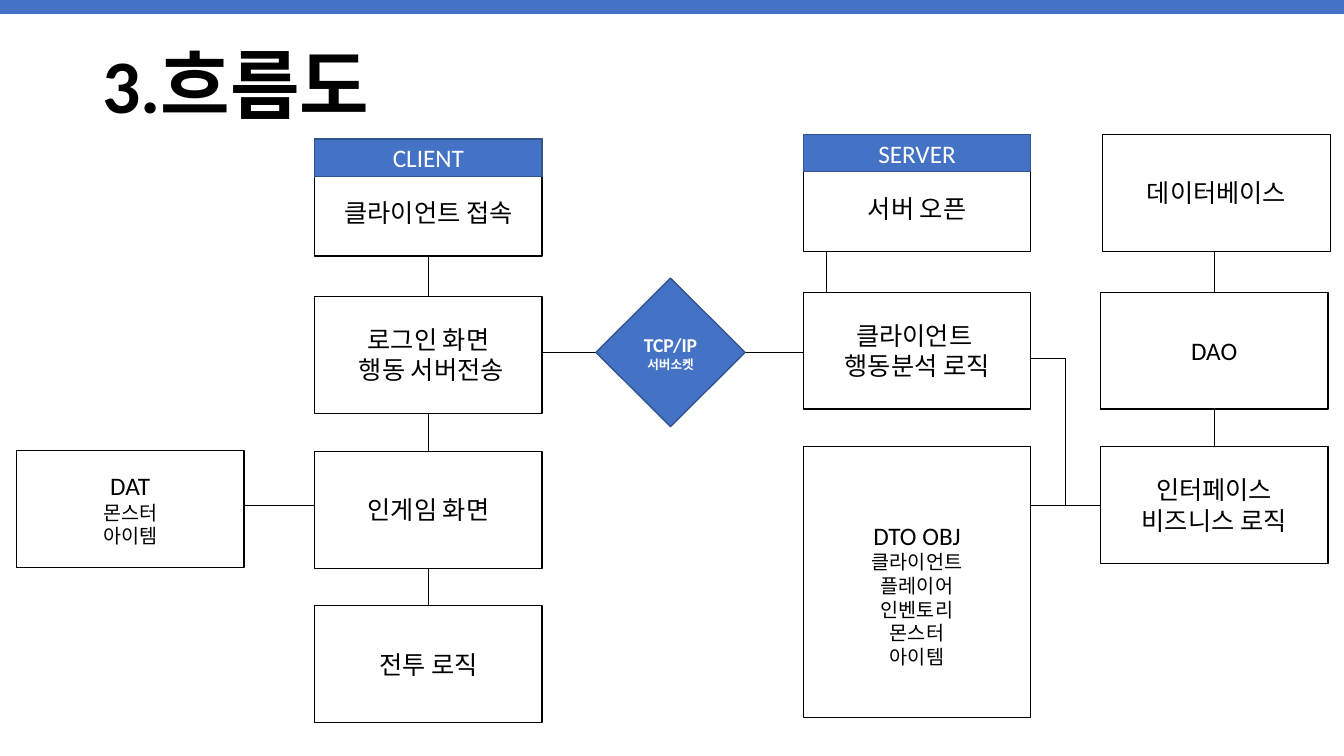
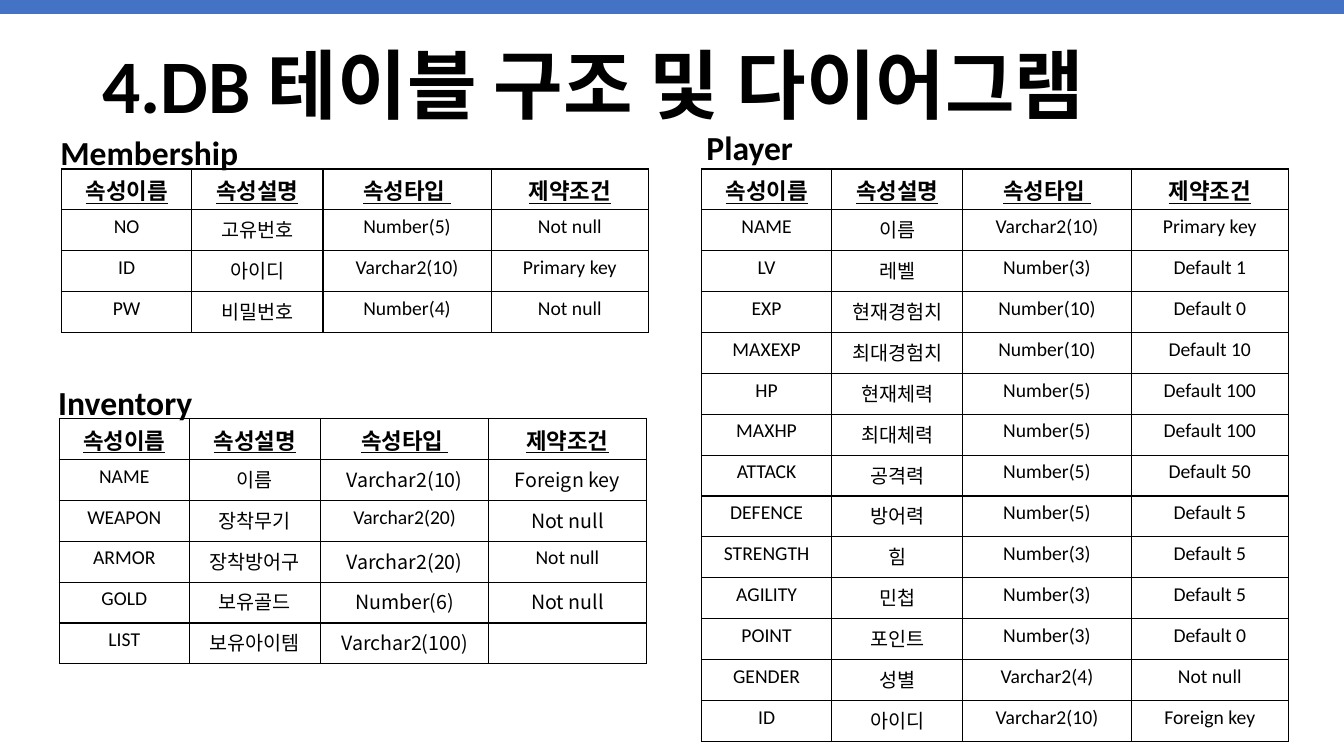
from dataclasses import dataclass
from typing import Any, NamedTuple

from lxml import etree
from pptx import Presentation
from pptx.dml.color import RGBColor
from pptx.enum.shapes import MSO_CONNECTOR, MSO_SHAPE
from pptx.enum.text import MSO_ANCHOR, PP_ALIGN
from pptx.oxml.ns import qn
from pptx.util import Pt

RECTANGLE = MSO_SHAPE.RECTANGLE
DIAMOND = MSO_SHAPE.DIAMOND
STRAIGHT = MSO_CONNECTOR.STRAIGHT
CENTER = PP_ALIGN.CENTER
LEFT = PP_ALIGN.LEFT
MIDDLE = MSO_ANCHOR.MIDDLE
BOTTOM = MSO_ANCHOR.BOTTOM
SIDE_TOP, SIDE_LEFT, SIDE_BOTTOM = range(3)

COLORS = {"white": "FFFFFF", "black": "000000", "blue": "4472C4", "navy": "325491"}
LATIN_FONT = "Calibri"
KOREAN_FONT = "Noto Sans CJK KR"
SLIDE_WIDTH, SLIDE_HEIGHT = 960, 540
BLANK_LAYOUT = 6

BOX_WIDTH, BOX_HEIGHT = 162.5, 83.5
HEADER_HEIGHT = 26.7
DAT_X, CLIENT_X, SERVER_X, DATA_X, DATABASE_X = 11.8, 224.8, 573.8, 786, 787.7
CLIENT_TOP, LOGIN_TOP, GAME_TOP, BATTLE_TOP = 99.3, 211.7, 322.5, 432.7
SERVER_TOP, ANALYSIS_TOP, LOGIC_TOP = 96, 208.8, 319
INSET_UNDER_HEADER = 25.5

COLUMN_WIDTHS = (93, 93.7, 120.2, 112.4)
ROW_HEIGHT = 29.22
TABLE_HEADER = ("속성이름", "속성설명", "속성타입 ", "제약조건")


class Line(NamedTuple):
    text: str
    size: float = 18
    bold: bool = False
    underline: bool = False
    font: str = LATIN_FONT


@dataclass(frozen=True)
class Box:
    name: str
    left: float
    top: float
    lines: tuple[Line, ...]
    width: float = BOX_WIDTH
    height: float = BOX_HEIGHT
    fill: str = "white"
    outline: str = "black"
    text_color: str = "black"
    preset: Any = RECTANGLE
    top_inset: float = 3.6


class Joint(NamedTuple):
    box: str
    side: int


class Point(NamedTuple):
    x: float
    y: float


class Link(NamedTuple):
    begin: Joint | Point
    end: Joint | Point


@dataclass(frozen=True)
class DataTable:
    caption: str
    caption_left: float
    caption_top: float
    caption_width: float
    left: float
    top: float
    rows: tuple[tuple[str, ...], ...]
    korean_font_cells: frozenset[tuple[int, int]] = frozenset()


def header_box(name: str, left: float, top: float) -> Box:
    return Box(name, left, top, (Line(name),), height=HEADER_HEIGHT,
               fill="blue", outline="navy", text_color="white")


def small_lines(*texts: str) -> tuple[Line, ...]:
    return tuple(Line(text, 14) for text in texts)


BOXES = (
    Box("connect", CLIENT_X, CLIENT_TOP, (Line("클라이언트 접속"),), top_inset=INSET_UNDER_HEADER),
    Box("login", CLIENT_X, LOGIN_TOP, (Line("로그인 화면"), Line(" 행동 서버전송"))),
    Box("game", CLIENT_X, GAME_TOP, (Line("인게임 화면"),)),
    Box("battle", CLIENT_X, BATTLE_TOP, (Line("전투 로직"),)),
    Box("dat", DAT_X, 322, (Line("DAT"), *small_lines("몬스터", "아이템"))),
    Box("open", SERVER_X, SERVER_TOP, (Line("서버 오픈"),), top_inset=INSET_UNDER_HEADER),
    Box("analysis", SERVER_X, ANALYSIS_TOP, (Line("클라이언트 "), Line("행동분석 로직"))),
    Box("dto", SERVER_X, LOGIC_TOP,
        (Line("DTO OBJ"), *small_lines("클라이언트", "플레이어", "인벤토리", "몬스터", "아이템")),
        height=193.7, top_inset=20.5),
    Box("database", DATABASE_X, SERVER_TOP, (Line("데이터베이스"),)),
    Box("dao", DATA_X, ANALYSIS_TOP, (Line("DAO"),)),
    Box("interface", DATA_X, LOGIC_TOP, (Line("인터페이스"), Line("비즈니스 로직"))),
    header_box("CLIENT", CLIENT_X, CLIENT_TOP),
    header_box("SERVER", SERVER_X, SERVER_TOP),
)
SOCKET = Box("socket", 425.7, 198.7, (Line("TCP/IP", 14, True), Line("서버소켓", 9, True)),
             width=106.5, height=106, fill="blue", outline="navy", text_color="white",
             preset=DIAMOND)

CLIENT_RIGHT = CLIENT_X + BOX_WIDTH
SERVER_RIGHT = SERVER_X + BOX_WIDTH
OPEN_LINK_X = 590.4
DATA_CENTER = DATA_X + BOX_WIDTH / 2
SOCKET_Y, DAT_Y = 251.8, 361.3
BRANCH_X, BRANCH_Y = 761, 255.8
INTERFACE_Y = LOGIC_TOP + BOX_HEIGHT / 2

LINKS = (
    *(Link(Joint(upper, SIDE_BOTTOM), Joint(lower, SIDE_TOP)) for upper, lower in (
        ("connect", "login"), ("login", "game"), ("game", "battle"), ("dao", "interface"))),
    Link(Point(DATA_CENTER, SERVER_TOP + BOX_HEIGHT), Joint("dao", SIDE_TOP)),
    Link(Point(DAT_X + BOX_WIDTH, DAT_Y), Point(CLIENT_X, DAT_Y)),
    Link(Point(CLIENT_RIGHT, SOCKET_Y), Point(SERVER_X, SOCKET_Y)),
    Link(Point(OPEN_LINK_X, SERVER_TOP + BOX_HEIGHT), Point(OPEN_LINK_X, ANALYSIS_TOP)),
    Link(Point(SERVER_RIGHT, INTERFACE_Y), Joint("interface", SIDE_LEFT)),
    Link(Point(SERVER_RIGHT, BRANCH_Y), Point(BRANCH_X, BRANCH_Y)),
    Link(Point(BRANCH_X, BRANCH_Y), Point(BRANCH_X, INTERFACE_Y)),
)

TABLES = (
    DataTable("Membership", 36, 90.5, 265.5, 44, 120.7, (
        ("NO", "고유번호", "Number(5)", "Not null"),
        ("ID", "아이디", "Varchar2(10)", "Primary key"),
        ("PW", "비밀번호", "Number(4)", "Not null"),
    )),
    DataTable("Player", 497.5, 87, 98, 501.1, 120.7, (
        ("NAME", "이름", "Varchar2(10)", "Primary key"),
        ("LV", "레벨", "Number(3)", "Default 1"),
        ("EXP", "현재경험치", "Number(10)", "Default 0"),
        ("MAXEXP", "최대경험치", "Number(10)", "Default 10"),
        ("HP", "현재체력", "Number(5)", "Default 100"),
        ("MAXHP", "최대체력", "Number(5)", "Default 100"),
        ("ATTACK", "공격력", "Number(5)", "Default 50"),
        ("DEFENCE", "방어력", "Number(5)", "Default 5"),
        ("STRENGTH", "힘", "Number(3)", "Default 5"),
        ("AGILITY", "민첩", "Number(3)", "Default 5"),
        ("POINT", "포인트", "Number(3)", "Default 0"),
        ("GENDER", "성별", "Varchar2(4)", "Not null"),
        ("ID", "아이디", "Varchar2(10)", "Foreign key"),
    )),
    DataTable("Inventory", 34.5, 269, 265.5, 42.3, 299, (
        ("NAME", "이름", "Varchar2(10)", "Foreign key"),
        ("WEAPON", "장착무기", "Varchar2(20)", "Not null"),
        ("ARMOR", "장착방어구", "Varchar2(20)", "Not null"),
        ("GOLD", "보유골드", "Number(6)", "Not null"),
        ("LIST", "보유아이템", "Varchar2(100)", ""),
    ), frozenset({(1, 2), (1, 3), (2, 3), (3, 2), (4, 2), (4, 3), (5, 2)})),
)


def rgb(color: str) -> RGBColor:
    return RGBColor.from_string(COLORS[color])


def write_lines(text_frame: Any, lines: tuple[Line, ...], color: str = "black",
                alignment: Any = CENTER) -> None:
    for index, line in enumerate(lines):
        paragraph = text_frame.add_paragraph() if index else text_frame.paragraphs[0]
        paragraph.alignment = alignment
        if not line.text:
            continue
        run = paragraph.add_run()
        run.text = line.text
        run.font.name = line.font
        run.font.size = Pt(line.size)
        run.font.bold = line.bold
        run.font.underline = line.underline
        run.font.color.rgb = rgb(color)
        etree.SubElement(run.font._element, qn("a:ea"), typeface=KOREAN_FONT)


def add_box(slide: Any, box: Box) -> Any:
    shape = slide.shapes.add_shape(
        box.preset, Pt(box.left), Pt(box.top), Pt(box.width), Pt(box.height))
    shape.shadow.inherit = False
    shape.fill.solid()
    shape.fill.fore_color.rgb = rgb(box.fill)
    shape.line.color.rgb = rgb(box.outline)
    shape.line.width = Pt(1)
    text_frame = shape.text_frame
    text_frame.word_wrap = True
    text_frame.vertical_anchor = MIDDLE
    text_frame.margin_top = Pt(box.top_inset)
    write_lines(text_frame, box.lines, box.text_color)
    return shape


def add_link(slide: Any, link: Link, shapes: dict[str, Any]) -> None:
    """Draw a thin line, joined to a box at each end given as a Joint."""
    begin, end = (Point(0, 0) if isinstance(place, Joint) else place for place in link)
    connector = slide.shapes.add_connector(
        STRAIGHT, Pt(begin.x), Pt(begin.y), Pt(end.x), Pt(end.y))
    for place, connect in zip(link, (connector.begin_connect, connector.end_connect)):
        if isinstance(place, Joint):
            connect(shapes[place.box], place.side)
    connector.line.color.rgb = rgb("black")
    connector.line.width = Pt(0.5)
    etree.SubElement(connector._element.spPr, qn("a:effectLst"))


def add_text(slide: Any, line: Line, left: float, top: float,
             width: float, height: float) -> Any:
    text_box = slide.shapes.add_textbox(Pt(left), Pt(top), Pt(width), Pt(height))
    text_frame = text_box.text_frame
    text_frame.word_wrap = True
    write_lines(text_frame, (line,), alignment=LEFT)
    return text_frame


def add_titled_slide(presentation: Any, title: str) -> Any:
    slide = presentation.slides.add_slide(presentation.slide_layouts[BLANK_LAYOUT])
    text_frame = add_text(slide, Line(title, 54, True), 66, 23, 828, 73.5)
    text_frame.vertical_anchor = BOTTOM
    text_frame.paragraphs[0].line_spacing = 0.9
    text_frame.paragraphs[0].space_after = Pt(6)
    band = add_box(slide, Box("band", 0, 0, (), SLIDE_WIDTH, 10, fill="blue"))
    band.line.fill.background()
    return slide


def add_cell_borders(cell: Any) -> None:
    properties = cell._tc.get_or_add_tcPr()
    for position, side in enumerate(("lnL", "lnR", "lnT", "lnB")):
        border = etree.Element(qn(f"a:{side}"), w=str(Pt(1)))
        fill = etree.SubElement(border, qn("a:solidFill"))
        etree.SubElement(fill, qn("a:srgbClr"), val=COLORS["black"])
        properties.insert(position, border)


def add_data_table(slide: Any, data: DataTable) -> None:
    rows = (TABLE_HEADER, *data.rows)
    table = slide.shapes.add_table(
        len(rows), len(COLUMN_WIDTHS), Pt(data.left), Pt(data.top),
        Pt(sum(COLUMN_WIDTHS)), Pt(ROW_HEIGHT * len(rows))).table
    table.first_row = False
    table.horz_banding = False
    for column, width in zip(table.columns, COLUMN_WIDTHS):
        column.width = Pt(width)
    for row_index, texts in enumerate(rows):
        table.rows[row_index].height = Pt(ROW_HEIGHT)
        is_header = row_index == 0
        for column_index, text in enumerate(texts):
            cell = table.cell(row_index, column_index)
            cell.fill.background()
            add_cell_borders(cell)
            uses_korean_font = (row_index, column_index) in data.korean_font_cells
            font = KOREAN_FONT if uses_korean_font else LATIN_FONT
            size = 16 if is_header else 14
            write_lines(cell.text_frame, (Line(text, size, is_header, is_header, font),))
    add_text(slide, Line(data.caption, 24, True),
             data.caption_left, data.caption_top, data.caption_width, 36)


def main() -> None:
    presentation = Presentation()
    presentation.slide_width = Pt(SLIDE_WIDTH)
    presentation.slide_height = Pt(SLIDE_HEIGHT)

    flow_slide = add_titled_slide(presentation, "3.흐름도")
    shapes = {box.name: add_box(flow_slide, box) for box in BOXES}
    for link in LINKS:
        add_link(flow_slide, link, shapes)
    add_box(flow_slide, SOCKET)

    table_slide = add_titled_slide(presentation, "4.DB 테이블 구조 및 다이어그램")
    for data in TABLES:
        add_data_table(table_slide, data)

    presentation.save("out.pptx")


if __name__ == "__main__":
    main()
